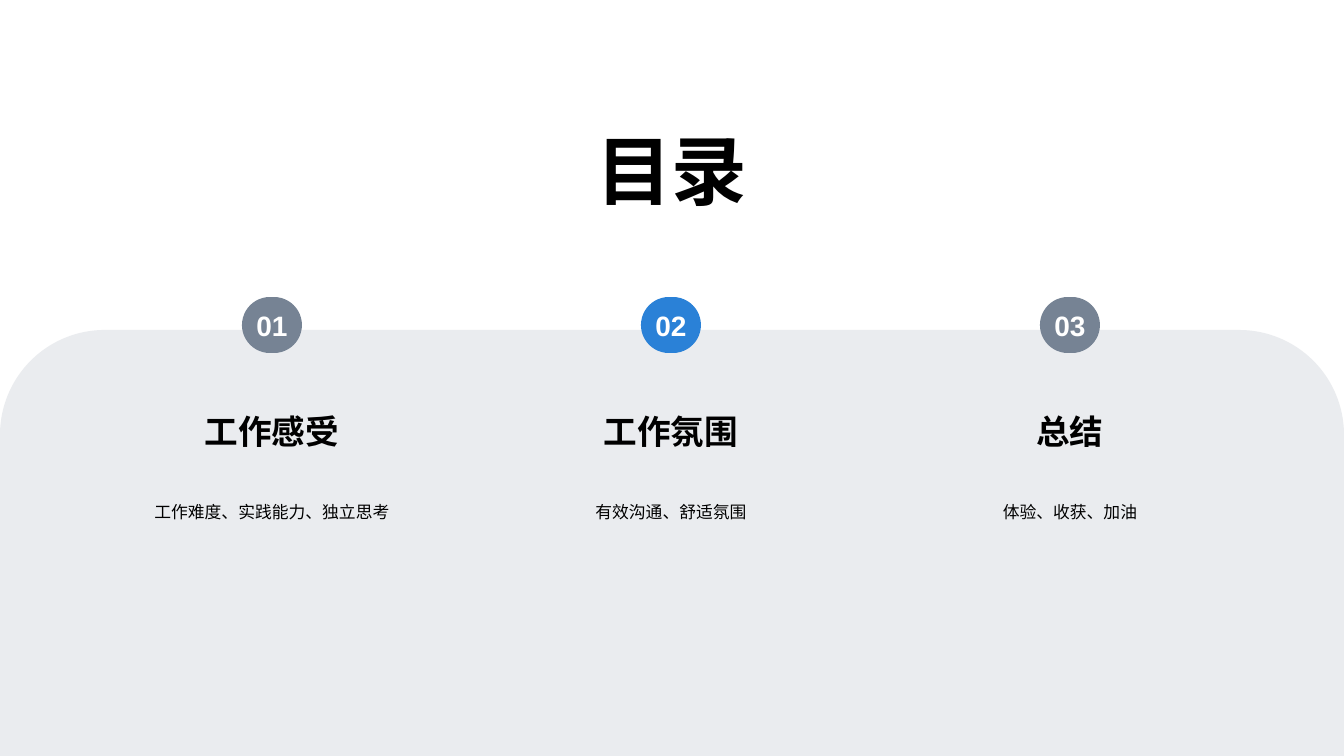
from lxml.etree import SubElement
from pptx import Presentation
from pptx.dml.color import RGBColor
from pptx.enum.shapes import MSO_SHAPE
from pptx.enum.text import MSO_ANCHOR, MSO_AUTO_SIZE, PP_ALIGN
from pptx.oxml.ns import qn
from pptx.util import Emu, Pt

SLATE, BLUE, BLACK, WHITE = "768394", "2A81D7", "000000", "FFFFFF"


def px(*lengths):
    """Turn whole px (100.8 to the inch) into EMU."""
    return [Emu(round(length * 914400 / 100.8)) for length in lengths]


def write(shape, text, size, color, bold=True, anchor=MSO_ANCHOR.BOTTOM,
          inset=0, wrap=True, spacing=1.0):
    frame = shape.text_frame
    margin = px(inset)[0]
    frame_format = {
        "margin_left": margin, "margin_right": margin,
        "margin_top": margin, "margin_bottom": margin,
        "word_wrap": wrap, "vertical_anchor": anchor,
        "auto_size": MSO_AUTO_SIZE.NONE,
    }
    for name, value in frame_format.items():
        setattr(frame, name, value)
    paragraph = frame.paragraphs[0]
    paragraph.alignment = PP_ALIGN.CENTER
    paragraph.line_spacing = spacing
    run = paragraph.add_run()
    run.text = text
    for name, value in {"name": "Arial", "size": Pt(size), "bold": bold}.items():
        setattr(run.font, name, value)
    run.font.color.rgb = RGBColor.from_string(color)


deck = Presentation()
deck.slide_width, deck.slide_height = px(1344, 756)
slide = deck.slides.add_slide(deck.slide_layouts[5])
shapes = slide.shapes

# Title
title = shapes.title
title.left, title.top, title.width, title.height = px(362, 127, 620, 88)
write(title, "目录", 54, BLACK)

# Translucent panel with rounded top corners
panel = shapes.add_shape(MSO_SHAPE.ROUND_2_SAME_RECTANGLE, *px(0, 330, 1344, 426))
panel.adjustments[0] = 0.246
panel.shadow.inherit = False
panel.line.fill.background()
panel.fill.solid()
panel.fill.fore_color.rgb = RGBColor.from_string(SLATE)
panel_color = panel.fill._xPr.find(".//" + qn("a:srgbClr"))
SubElement(panel_color, qn("a:alpha"), val="15000")

# Sections: number badge, heading, summary
sections = [
    ("工作感受", "工作难度、实践能力、独立思考", SLATE),
    ("工作氛围", "有效沟通、舒适氛围", BLUE),
    ("总结", "体验、收获、加油", SLATE),
]
FIRST_CENTER, PITCH = 272, 399
for index, (heading, summary, badge_color) in enumerate(sections):
    center = FIRST_CENTER + index * PITCH

    badge = shapes.add_shape(MSO_SHAPE.ROUNDED_RECTANGLE,
                             *px(center - 30, 297, 60, 56))
    badge.adjustments[0] = 0.5
    badge.shadow.inherit = False
    badge.line.fill.background()
    badge.fill.solid()
    badge.fill.fore_color.rgb = RGBColor.from_string(badge_color)
    write(badge, f"{index + 1:02d}", 20, WHITE,
          anchor=MSO_ANCHOR.MIDDLE, inset=12, wrap=False)

    summary_box = shapes.add_textbox(*px(center - 200, 492, 400, 37))
    write(summary_box, summary, 12, BLACK, bold=False,
          anchor=MSO_ANCHOR.TOP, spacing=1.5)

    heading_box = shapes.add_textbox(*px(center - 78, 401, 156, 50))
    write(heading_box, heading, 24, BLACK)

deck.save("out.pptx")
